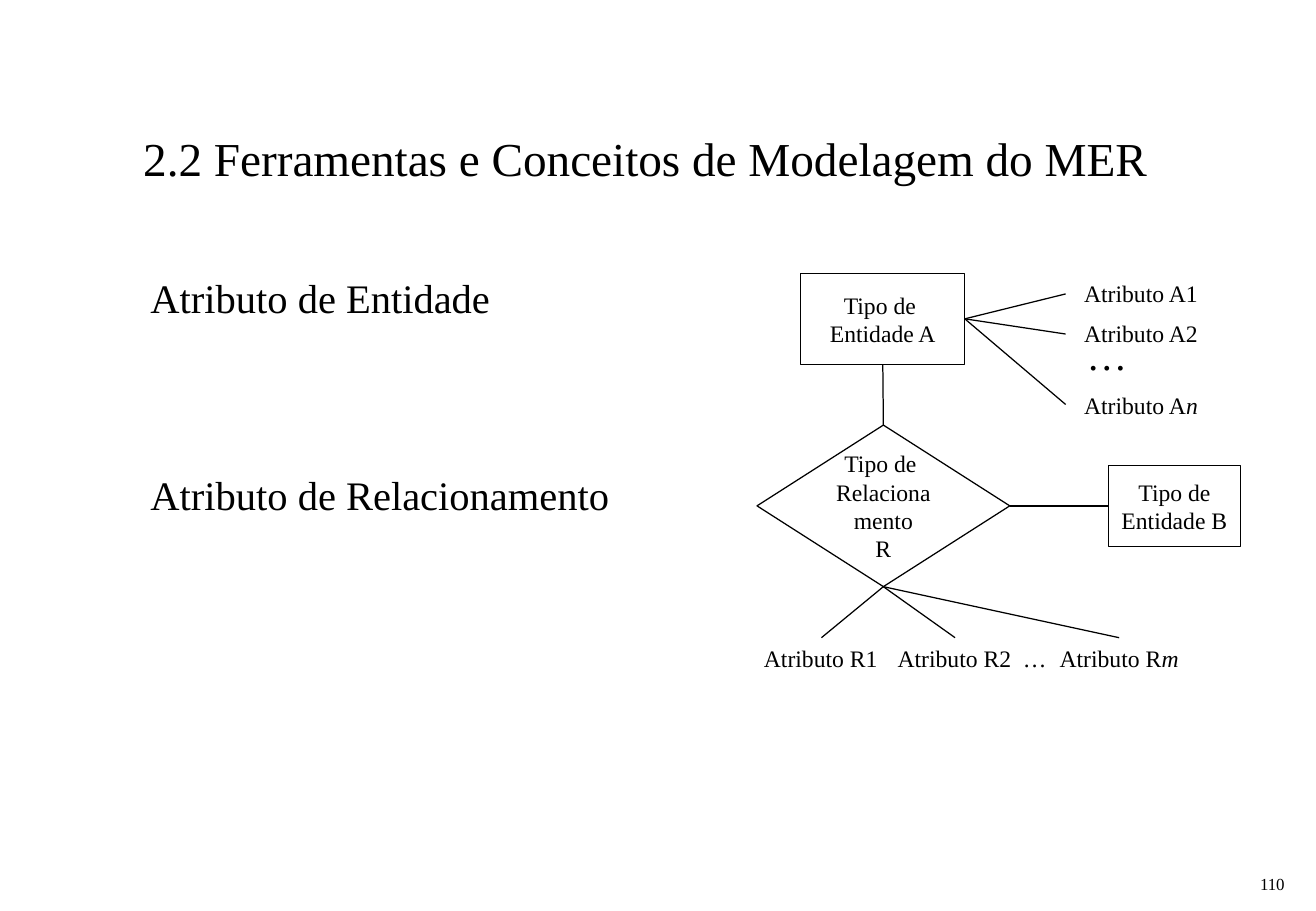
from dataclasses import dataclass

import pptx
import pptx.dml.color
import pptx.enum.shapes
import pptx.enum.text
import pptx.oxml
import pptx.util
from pptx.shapes.autoshape import Shape
from pptx.slide import Slide

Inches = pptx.util.Inches
Pt = pptx.util.Pt
Align = pptx.enum.text.PP_ALIGN
Anchor = pptx.enum.text.MSO_ANCHOR
Preset = pptx.enum.shapes.MSO_SHAPE

BLACK = pptx.dml.color.RGBColor(0x00, 0x00, 0x00)
WHITE = pptx.dml.color.RGBColor(0xFF, 0xFF, 0xFF)
FONT = "Times New Roman"
LINE_WIDTH = Pt(0.75)
TOP, LEFT, BOTTOM, RIGHT = range(4)


@dataclass
class Node:
    name: str
    preset: Preset
    left: float
    top: float
    width: float
    height: float
    lines: list[str]


@dataclass
class Attribute:
    owner: str
    side: int
    text: str
    italic_tail: str
    left: float
    top: float
    width: float
    line_end: tuple[float, float]


NODES = [
    Node("A", Preset.RECTANGLE, 6.59, 2.25, 1.35, 0.75, ["Tipo de ", "Entidade A"]),
    Node("R", Preset.FLOWCHART_DECISION, 6.23, 3.5, 2.08, 1.33,
         ["Tipo de ", "Relacionamento", "R"]),
    Node("B", Preset.FLOWCHART_PROCESS, 9.12, 3.83, 1.09, 0.67, ["Tipo de", "Entidade B"]),
]

LINKS = [("R", TOP, "A", BOTTOM), ("R", RIGHT, "B", LEFT)]

ATTRIBUTES = [
    Attribute("A", RIGHT, "Atributo A1", "", 8.77, 2.25, 1.24, (8.77, 2.42)),
    Attribute("A", RIGHT, "Atributo A2", "", 8.77, 2.58, 1.24, (8.77, 2.75)),
    Attribute("A", RIGHT, "Atributo A", "n", 8.77, 3.17, 1.24, (8.77, 3.33)),
    Attribute("R", BOTTOM, "Atributo R1", "", 6.14, 5.25, 1.23, (6.76, 5.25)),
    Attribute("R", BOTTOM, "Atributo R2", "", 7.24, 5.25, 1.23, (7.86, 5.25)),
    Attribute("R", BOTTOM, "Atributo R", "m", 8.57, 5.25, 1.28, (9.21, 5.25)),
]


def write_text(shape: Shape, lines: list[str], *, size: float = 14,
               align: Align = Align.CENTER, anchor: Anchor = Anchor.MIDDLE,
               gap: float = 0, italic_tail: str = "") -> None:
    frame = shape.text_frame
    frame.word_wrap = True
    frame.vertical_anchor = anchor
    for index, line in enumerate(lines):
        paragraph = frame.add_paragraph() if index else frame.paragraphs[0]
        paragraph.alignment = align
        if index and gap:
            paragraph.space_before = Pt(gap)
        paragraph.font.size = Pt(size)
        paragraph.font.name = FONT
        paragraph.font.color.rgb = BLACK
        paragraph.add_run().text = line
    if italic_tail:
        tail = frame.paragraphs[-1].add_run()
        tail.text = italic_tail
        tail.font.italic = True
    for paragraph in frame.paragraphs:
        for run in paragraph.runs:
            run.font.size = Pt(size)
            run.font.name = FONT
            run.font.color.rgb = BLACK


def add_textbox(slide: Slide, left: float, top: float, width: float, height: float) -> Shape:
    return slide.shapes.add_textbox(Inches(left), Inches(top), Inches(width), Inches(height))


def add_node(slide: Slide, node: Node) -> Shape:
    shape = slide.shapes.add_shape(node.preset, Inches(node.left), Inches(node.top),
                                   Inches(node.width), Inches(node.height))
    shape.shadow.inherit = False
    shape.fill.solid()
    shape.fill.fore_color.rgb = WHITE
    shape.line.color.rgb = BLACK
    shape.line.width = LINE_WIDTH
    write_text(shape, node.lines)
    return shape


def add_line(slide: Slide, start: Shape, start_side: int,
             end: tuple[float, float] = (0, 0)) -> pptx.shapes.connector.Connector:
    connector = slide.shapes.add_connector(
        pptx.enum.shapes.MSO_CONNECTOR.STRAIGHT, start.left, start.top,
        Inches(end[0]), Inches(end[1]))
    connector.begin_connect(start, start_side)
    connector.line.color.rgb = BLACK
    connector.line.width = LINE_WIDTH
    properties = connector._element.spPr
    properties.append(pptx.oxml.parse_xml(
        '<a:effectLst xmlns:a="http://schemas.openxmlformats.org/drawingml/2006/main"/>'))
    return connector


def add_attribute(slide: Slide, attribute: Attribute, owner: Shape) -> None:
    add_line(slide, owner, attribute.side, attribute.line_end)
    label = add_textbox(slide, attribute.left, attribute.top, attribute.width, 0.33)
    write_text(label, [attribute.text], italic_tail=attribute.italic_tail)


def main() -> None:
    presentation = pptx.Presentation()
    presentation.slide_width = Inches(10.83)
    presentation.slide_height = Inches(7.5)
    slide = presentation.slides.add_slide(presentation.slide_layouts[6])

    write_text(add_textbox(slide, 10.24, 7.01, 0.43, 0.4), ["110"],
               size=10, align=Align.RIGHT, anchor=Anchor.BOTTOM)
    write_text(add_textbox(slide, 1.08, 0.67, 9.21, 1.25),
               ["2.2 Ferramentas e Conceitos de Modelagem do MER"],
               size=28, align=Align.LEFT)
    write_text(add_textbox(slide, 1.14, 2.2, 4.46, 4.47),
               ["Atributo de Entidade", "Atributo de Relacionamento"],
               size=24, align=Align.LEFT, anchor=Anchor.TOP, gap=88)

    shapes = {node.name: add_node(slide, node) for node in NODES}
    for start, start_side, end, end_side in LINKS:
        add_line(slide, shapes[start], start_side).end_connect(shapes[end], end_side)
    for attribute in ATTRIBUTES:
        add_attribute(slide, attribute, shapes[attribute.owner])

    write_text(add_textbox(slide, 8.83, 2.67, 0.56, 0.5), ["…"], size=24)
    write_text(add_textbox(slide, 8.3, 5.25, 0.43, 0.33), ["…"])

    presentation.save("out.pptx")


if __name__ == "__main__":
    main()
